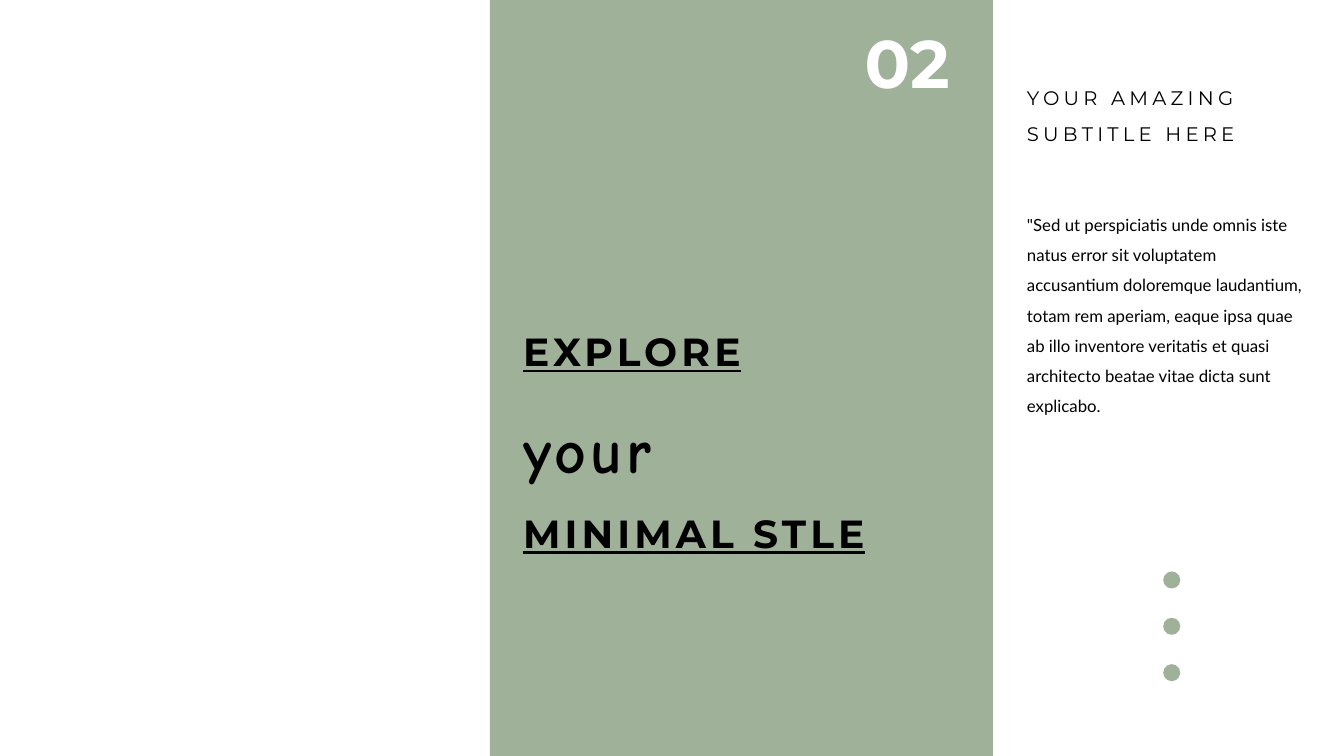
from dataclasses import dataclass

from pptx import Presentation
from pptx.dml.color import RGBColor
from pptx.enum.shapes import MSO_SHAPE
from pptx.enum.text import MSO_AUTO_SIZE
from pptx.slide import Slide
from pptx.util import Pt

SAGE = RGBColor(0xA0, 0xB1, 0x9A)
BLACK = RGBColor(0x00, 0x00, 0x00)
WHITE = RGBColor(0xFF, 0xFF, 0xFF)
HEADING_FONT = "Montserrat"
SCRIPT_FONT = "Comic Neue"
BODY_FONT = "Lato"

SLIDE_WIDTH, SLIDE_HEIGHT = 960, 540
COLUMN_LEFT, COLUMN_WIDTH = 726.5, 211.7
DOT_LEFT, DOT_TOP, DOT_SIZE, DOT_PITCH = 830.9, 408.2, 12.2, 33.1
DOT_COUNT = 3


@dataclass(frozen=True)
class Box:
    """Position and size in points."""
    left: float
    top: float
    width: float
    height: float


@dataclass(frozen=True)
class Line:
    """One paragraph holding a single run."""
    text: str
    size: float
    font: str = HEADING_FONT
    color: RGBColor = BLACK
    bold: bool = False
    underline: bool = False
    tracking: float = 0
    spacing: float = 1.5
    before: float = 0


@dataclass(frozen=True)
class TextBlock:
    """A text box and its paragraphs."""
    box: Box
    lines: tuple[Line, ...]
    wrap: bool = True
    grow: bool = False


def add_sage_shape(slide: Slide, kind: MSO_SHAPE, box: Box) -> None:
    """Draw a sage shape without outline or shadow."""
    shape = slide.shapes.add_shape(
        kind, Pt(box.left), Pt(box.top), Pt(box.width), Pt(box.height))
    shape.shadow.inherit = False
    shape.fill.solid()
    shape.fill.fore_color.rgb = SAGE
    shape.line.fill.background()


def add_text_block(slide: Slide, block: TextBlock) -> None:
    """Draw a text box, one run per paragraph."""
    box = block.box
    frame = slide.shapes.add_textbox(
        Pt(box.left), Pt(box.top), Pt(box.width), Pt(box.height)).text_frame
    frame.word_wrap = block.wrap
    frame.auto_size = (MSO_AUTO_SIZE.SHAPE_TO_FIT_TEXT if block.grow
                       else MSO_AUTO_SIZE.NONE)
    for index, line in enumerate(block.lines):
        paragraph = frame.add_paragraph() if index else frame.paragraphs[0]
        paragraph.line_spacing = line.spacing
        paragraph.space_before = Pt(line.before)
        run = paragraph.add_run()
        run.text = line.text
        run.font.name = line.font
        run.font.size = Pt(line.size)
        run.font.bold = line.bold
        run.font.underline = line.underline
        run.font.color.rgb = line.color
        if line.tracking:
            run.font._element.set("spc", str(int(line.tracking * 100)))


def title_word(text: str) -> Line:
    """Return an underlined line of the title."""
    return Line(text, 28, bold=True, underline=True, tracking=3)


TITLE = TextBlock(
    Box(366.5, 213.8, 358.6, 189.4),
    (title_word("EXPLORE"),
     Line("your", 44, SCRIPT_FONT, bold=True, tracking=3),
     title_word("MINIMAL STLE")),
    grow=True)
SECTION_NUMBER = TextBlock(
    Box(610.6, 11.5, 76.3, 65.5),
    (Line("02", 48, color=WHITE, bold=True, spacing=1.0),),
    wrap=False, grow=True)
SUBTITLE = TextBlock(
    Box(COLUMN_LEFT, 49.7, COLUMN_WIDTH, 82.8),
    (Line("YOUR AMAZING SUBTITLE HERE", 14, tracking=3, before=10),))
BODY = TextBlock(
    Box(COLUMN_LEFT, 142.6, COLUMN_WIDTH, 182.9),
    (Line('"Sed ut perspiciatis unde omnis iste natus error sit voluptatem '
          "accusantium doloremque laudantium, totam rem aperiam, eaque ipsa "
          "quae ab illo inventore veritatis et quasi architecto beatae vitae "
          "dicta sunt explicabo.", 12, BODY_FONT, before=10),))


def main() -> None:
    """Build and save the slide."""
    presentation = Presentation()
    presentation.slide_width = Pt(SLIDE_WIDTH)
    presentation.slide_height = Pt(SLIDE_HEIGHT)
    slide = presentation.slides.add_slide(presentation.slide_layouts[6])

    add_sage_shape(slide, MSO_SHAPE.RECTANGLE,
                   Box(350, 0, 359.3, SLIDE_HEIGHT))
    for block in (TITLE, SECTION_NUMBER, SUBTITLE, BODY):
        add_text_block(slide, block)
    for row in range(DOT_COUNT):
        add_sage_shape(slide, MSO_SHAPE.OVAL,
                       Box(DOT_LEFT, DOT_TOP + row * DOT_PITCH,
                           DOT_SIZE, DOT_SIZE))

    presentation.save("out.pptx")


main()
